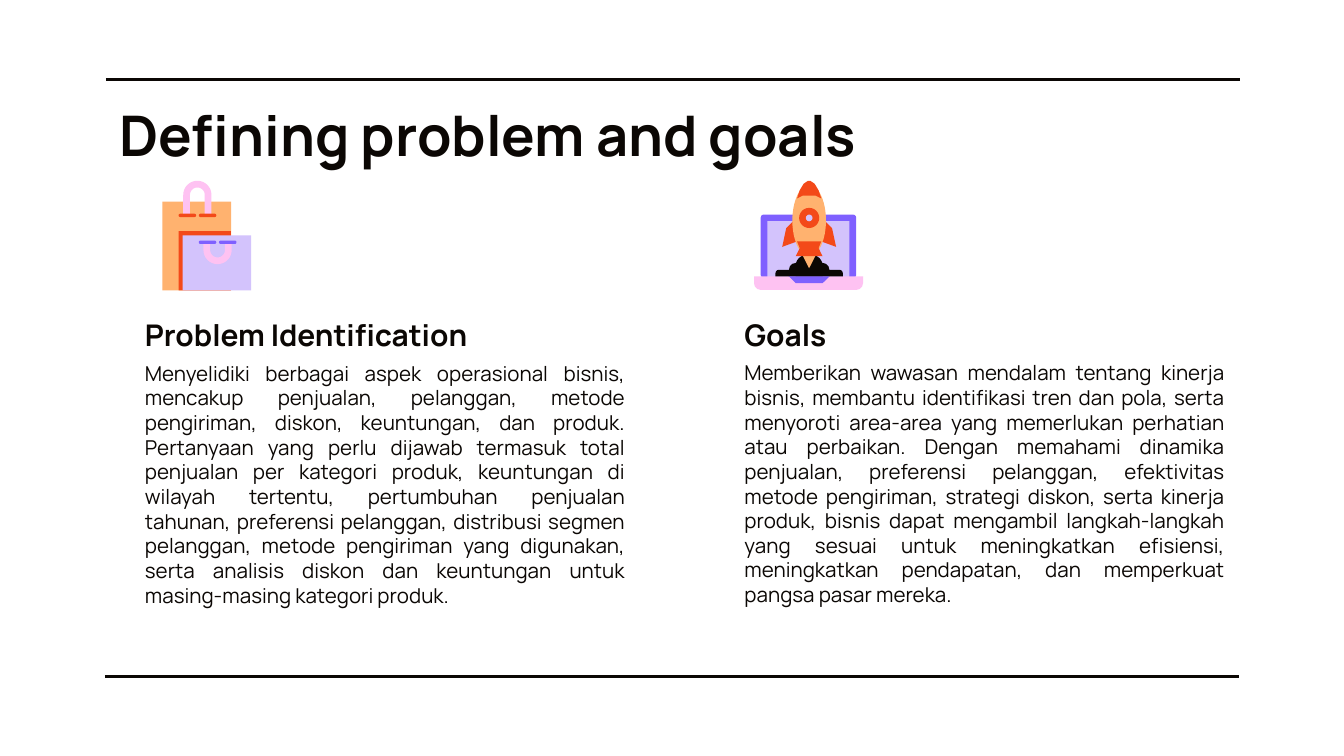
from math import cos, pi, sin

from lxml.etree import SubElement
from pptx import Presentation
from pptx.dml.color import RGBColor
from pptx.enum.shapes import MSO_CONNECTOR, MSO_SHAPE
from pptx.enum.text import MSO_ANCHOR, PP_ALIGN
from pptx.oxml.ns import qn
from pptx.util import Cm, Pt

INK, ORANGE, RED = "0B0704", "FFB26F", "F34919"
LILAC, PURPLE, PINK = "D3C3FC", "7F60FF", "FEC2F2"
FONT = "Manrope"
ICON_GRID = 81
ROCKET_AXIS = 41

PROBLEM = (
    "Menyelidiki berbagai aspek operasional bisnis, mencakup penjualan, pelanggan, "
    "metode pengiriman, diskon, keuntungan, dan produk. Pertanyaan yang perlu dijawab "
    "termasuk total penjualan per kategori produk, keuntungan di wilayah tertentu, "
    "pertumbuhan penjualan tahunan, preferensi pelanggan, distribusi segmen pelanggan, "
    "metode pengiriman yang digunakan, serta analisis diskon dan keuntungan untuk "
    "masing-masing kategori produk."
)
GOALS = (
    "Memberikan wawasan mendalam tentang kinerja bisnis, membantu identifikasi tren dan "
    "pola, serta menyoroti area-area yang memerlukan perhatian atau perbaikan. Dengan "
    "memahami dinamika penjualan, preferensi pelanggan, efektivitas metode pengiriman, "
    "strategi diskon, serta kinerja produk, bisnis dapat mengambil langkah-langkah yang "
    "sesuai untuk meningkatkan efisiensi, meningkatkan pendapatan, dan memperkuat pangsa "
    "pasar mereka."
)


def color(hex_code):
    """Turn a hex string into a colour."""
    return RGBColor.from_string(hex_code)


def paint(part, fill):
    """Give a part a flat fill without line or shadow."""
    part.shadow.inherit = False
    part.fill.solid()
    part.fill.fore_color.rgb = color(fill)
    part.line.fill.background()


def add_preset(slide, box, kind, bounds, fill):
    """Place a preset given in icon grid units inside the icon box."""
    left, top, size = box
    unit = size / ICON_GRID
    x, y, width, height = bounds
    part = slide.shapes.add_shape(
        kind, Cm(left + x * unit), Cm(top + y * unit), Cm(width * unit), Cm(height * unit)
    )
    paint(part, fill)
    return part


def add_outline(slide, box, points, fill):
    """Place a closed outline given in icon grid units inside the icon box."""
    left, top, size = box
    unit = size / ICON_GRID
    start, *rest = [(Cm(left + x * unit), Cm(top + y * unit)) for x, y in points]
    builder = slide.shapes.build_freeform(*start)
    builder.add_line_segments(rest, close=True)
    paint(builder.convert_to_shape(), fill)


def add_handle(slide, box, center, leg):
    """Place a bag handle whose legs run down, or up if leg is negative."""
    x, y = center
    turn = -1 if leg > 0 else 1
    angles = [pi * step / 16 for step in range(17)]
    outer, inner = (
        [(x + r * cos(a), y + turn * r * sin(a)) for a in angles] for r in (10.5, 5.5)
    )
    legs = [(px, y + leg) for px, _ in (outer[-1], inner[-1], inner[0], outer[0])]
    add_outline(slide, box, outer + legs[:2] + inner[::-1] + legs[2:], PINK)


def add_mirrored(slide, box, profile, fill):
    """Place a symmetric outline from its right half, measured from the rocket axis."""
    right, left = ([(ROCKET_AXIS + side * x, y) for x, y in profile] for side in (1, -1))
    add_outline(slide, box, right + left[::-1], fill)


def draw_bags(slide, box):
    """Draw two shopping bags in a box of left, top and height."""
    for bounds, fill in (
        ((0, 15, 51, 66), ORANGE), ((12, 37, 39, 44), RED), ((15, 40, 51, 41), LILAC),
    ):
        add_preset(slide, box, MSO_SHAPE.RECTANGLE, bounds, fill)
    add_handle(slide, box, (41, 51), -5)
    add_handle(slide, box, (26, 10), 15)
    for x, y, fill in ((27, 44, PURPLE), (12, 24, RED)):
        for bar_left in (x, x + 15):
            bar = add_preset(
                slide, box, MSO_SHAPE.ROUNDED_RECTANGLE, (bar_left, y, 13, 2.5), fill
            )
            bar.adjustments[0] = 0.5


def draw_rocket(slide, box):
    """Draw a rocket leaving a laptop in a box of left, top and height."""
    screen = add_preset(slide, box, MSO_SHAPE.ROUNDED_RECTANGLE, (5, 25, 71, 47), PURPLE)
    screen.adjustments[0] = 0.05
    add_preset(slide, box, MSO_SHAPE.RECTANGLE, (10, 30, 61, 42), LILAC)
    keyboard = add_preset(slide, box, MSO_SHAPE.ROUND_2_SAME_RECTANGLE, (0, 71, 81, 10), PINK)
    keyboard.rotation = 180
    keyboard.adjustments[0] = 0.5
    for side in (1, -1):
        wing = [(12, 30), (17, 35), (20, 49), (9, 45)]
        add_outline(slide, box, [(ROCKET_AXIS + side * x, y) for x, y in wing], RED)
    for reach, top in ((25, 66), (15, 61), (10, 55)):
        smoke = add_preset(
            slide, box, MSO_SHAPE.ROUND_2_SAME_RECTANGLE,
            (ROCKET_AXIS - reach, top, 2 * reach, 71 - top), INK,
        )
        smoke.adjustments[0] = 0.5
    add_mirrored(slide, box, [(5, 55), (0, 65)], ORANGE)
    add_preset(slide, box, MSO_SHAPE.OVAL, (28.5, 3, 25, 53), ORANGE)
    for profile, fill in (
        ([(9, 45), (7, 50), (10, 56)], RED),
        ([(15, 71), (10, 76)], PURPLE),
        ([(1, 0), (4, 2), (7, 7), (9, 13), (5, 11)], RED),
    ):
        add_mirrored(slide, box, profile, fill)
    for radius, fill in ((7.5, RED), (2.5, LILAC)):
        window = (ROCKET_AXIS - radius, 27.5 - radius, 2 * radius, 2 * radius)
        add_preset(slide, box, MSO_SHAPE.OVAL, window, fill)


def add_text(slide, box, wording, size, bold=False, anchor=MSO_ANCHOR.TOP, align=PP_ALIGN.LEFT):
    """Place one paragraph of text in a box."""
    frame = slide.shapes.add_textbox(*map(Cm, box)).text_frame
    frame.word_wrap = True
    frame.vertical_anchor = anchor
    frame.margin_left = frame.margin_right = frame.margin_top = frame.margin_bottom = Cm(0.25)
    paragraph = frame.paragraphs[0]
    paragraph.alignment = align
    run = paragraph.add_run()
    run.text = wording
    run.font.name, run.font.size, run.font.bold = FONT, Pt(size), bold
    run.font.color.rgb = color(INK)


def add_rule(slide, left, top, width):
    """Place a horizontal rule."""
    rule = slide.shapes.add_connector(
        MSO_CONNECTOR.STRAIGHT, Cm(left), Cm(top), Cm(left + width), Cm(top)
    )
    rule.line.color.rgb = color(INK)
    rule.line.width = Pt(1.5)
    SubElement(rule._element.spPr, qn("a:effectLst"))


def add_header(slide, box):
    """Place the slide title in its box."""
    add_text(slide, box, "Defining problem and goals", 30, bold=True)


def add_column(slide, box, heading, body, draw_icon, icon_indent):
    """Place an icon, a heading and a justified body in a column box."""
    left, top, width, height = box
    draw_icon(slide, (left + icon_indent, top, 2.06))
    add_text(slide, (left, top + 2.09, 7.85, 1.4), heading, 16, bold=True, anchor=MSO_ANCHOR.BOTTOM)
    add_text(slide, (left, top + 3.14, width, height - 3.14), body, 11, align=PP_ALIGN.JUSTIFY)


def main():
    """Build and save the slide."""
    deck = Presentation()
    deck.slide_width, deck.slide_height = Cm(25.4), Cm(14.29)
    slide = deck.slides.add_slide(deck.slide_layouts[6])
    add_rule(slide, 2, 1.5, 21.44)
    add_rule(slide, 1.98, 12.78, 21.44)
    add_header(slide, (2, 1.65, 21.41, 1.6))
    add_column(slide, (2.49, 3.43, 9.58, 8.7), "Problem Identification", PROBLEM, draw_bags, 0.58)
    add_column(slide, (13.82, 3.42, 9.58, 8.8), "Goals", GOALS, draw_rocket, 0.43)
    deck.save("out.pptx")


if __name__ == "__main__":
    main()
